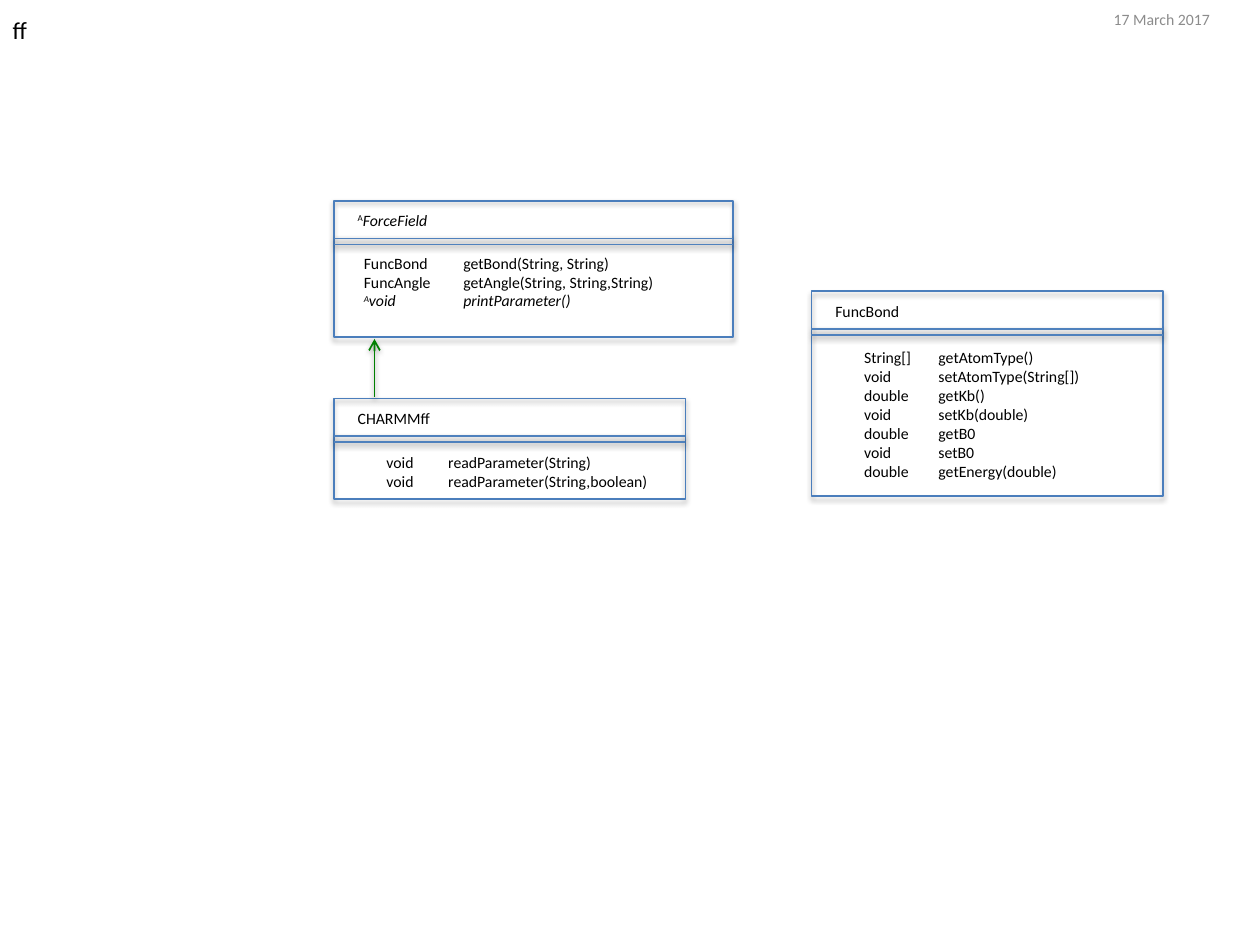
from lxml import etree
from pptx import Presentation
from pptx.dml.color import RGBColor
from pptx.enum import shapes, text
from pptx.oxml import ns
from pptx.util import Pt


def color(value):
    return RGBColor.from_string(value)


def add_span(para, words, size=9, ink="000000", italic=None, raised=False):
    span = para.add_run()
    span.text = words
    span.font.name = "Calibri"
    span.font.size = Pt(size)
    span.font.italic = italic
    span.font.color.rgb = color(ink)
    if raised:
        span._r.get_or_add_rPr().set("baseline", "30000")


def add_tab(para, position):
    stops = etree.SubElement(para._p.get_or_add_pPr(), ns.qn("a:tabLst"))
    etree.SubElement(stops, ns.qn("a:tab"), pos=str(Pt(position)), algn="l")


def add_text_box(parent, left, top, width, height, wrap=True):
    box = parent.add_textbox(Pt(left), Pt(top), Pt(width), Pt(height))
    box.text_frame.word_wrap = wrap
    box.text_frame.auto_size = text.MSO_AUTO_SIZE.SHAPE_TO_FIT_TEXT
    return box.text_frame


def style_outline(shape, ink, distance, opacity):
    shape.line.color.rgb = color(ink)
    shape.line.width = Pt(1)
    effects = etree.SubElement(shape.element.spPr, ns.qn("a:effectLst"))
    shadow = etree.SubElement(effects, ns.qn("a:outerShdw"), blurRad=str(Pt(3.1)),
                              dist=str(Pt(distance)), dir="5400000", rotWithShape="0")
    black = etree.SubElement(shadow, ns.qn("a:srgbClr"), val="000000")
    etree.SubElement(black, ns.qn("a:alpha"), val=str(opacity * 1000))


def add_line(parent, start, end, ink="4F81BD", arrow=False):
    line = parent.add_connector(shapes.MSO_CONNECTOR.STRAIGHT,
                                *(Pt(value) for value in (*start, *end)))
    style_outline(line, ink, 1.6, 38)
    if arrow:
        etree.SubElement(line.line._get_or_add_ln(), ns.qn("a:tailEnd"), type="arrow")


def add_class_box(page, left, top, width, height, name, name_width, methods,
                  indent, drop, body_height, tab, abstract=False):
    group = page.shapes.add_group_shape().shapes
    frame = group.add_shape(shapes.MSO_SHAPE.RECTANGLE,
                            Pt(left), Pt(top), Pt(width), Pt(height))
    frame.fill.background()
    style_outline(frame, "4B7EBC", 1.8, 35)
    for offset in (21.6, 25):
        add_line(group, (left, top + offset), (left + width, top + offset))

    heading = add_text_box(group, left + 6.5, top + 2.2, name_width, 18, wrap=False)
    if abstract:
        add_span(heading.paragraphs[0], "A", raised=True)
    add_span(heading.paragraphs[0], name, italic=abstract or None)

    body = add_text_box(group, left + indent, top + drop, width - indent, body_height)
    for index, (result, method, *marks) in enumerate(methods):
        para = body.add_paragraph() if index else body.paragraphs[0]
        add_tab(para, tab)
        italic = "abstract" in marks or None
        if italic:
            add_span(para, "A", italic=True, raised=True)
        add_span(para, f"{result}\t{method}", italic=italic)


def add_header(page, words, date):
    title = page.shapes.title
    title.left, title.top, title.width, title.height = Pt(0), Pt(5), Pt(23), Pt(24.5)
    frame = title.text_frame
    frame.word_wrap = False
    frame.auto_size = text.MSO_AUTO_SIZE.SHAPE_TO_FIT_TEXT
    frame.vertical_anchor = text.MSO_ANCHOR.TOP
    frame.paragraphs[0].alignment = text.PP_ALIGN.LEFT
    add_span(frame.paragraphs[0], words, size=14)

    stamp = add_text_box(page.shapes, 629.3, 0.7, 90.7, 21)
    stamp.auto_size = text.MSO_AUTO_SIZE.NONE
    stamp.vertical_anchor = text.MSO_ANCHOR.MIDDLE
    add_span(stamp.paragraphs[0], date, ink="8C8C8C")


deck = Presentation()
deck.slide_width, deck.slide_height = Pt(720), Pt(540)
page = deck.slides.add_slide(deck.slide_layouts[5])

add_header(page, "ff", "17 March 2017")
add_class_box(page, 190.8, 114.7, 228.2, 78, "ForceField", 57.6, [
    ("FuncBond", "getBond(String, String)"),
    ("FuncAngle", "getAngle(String, String,String)"),
    ("void", "printParameter()", "abstract"),
], indent=10, drop=26.5, body_height=40, tab=56.9, abstract=True)
add_class_box(page, 190.8, 227.7, 200.9, 57.5, "CHARMMff", 56.2, [
    ("void", "readParameter(String)"),
    ("void", "readParameter(String,boolean)"),
], indent=23, drop=27.3, body_height=29, tab=35.3)
add_line(page.shapes, (214, 226.8), (214, 193.7), ink="008000", arrow=True)
add_class_box(page, 463.7, 166.5, 200.9, 116.8, "FuncBond", 51.1, [
    ("String[]", "getAtomType()"),
    ("void", "setAtomType(String[])"),
    ("double", "getKb()"),
    ("void", "setKb(double)"),
    ("double", "getB0"),
    ("void", "setB0"),
    ("double", "getEnergy(double)"),
], indent=23, drop=28.8, body_height=83.5, tab=42.5)

deck.save("out.pptx")
